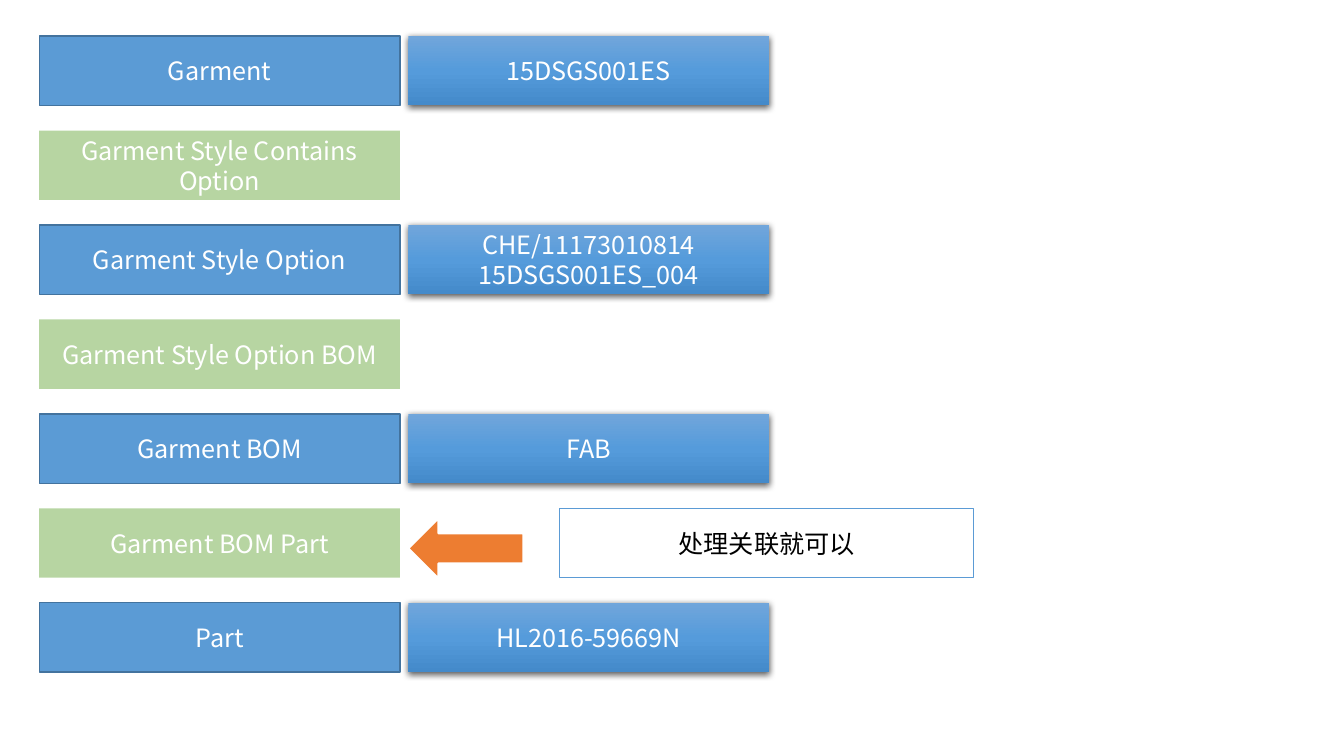
from copy import deepcopy

from lxml.etree import SubElement
from pptx import Presentation
from pptx.dml.color import RGBColor
from pptx.enum.shapes import MSO_SHAPE
from pptx.enum.text import MSO_ANCHOR, PP_ALIGN
from pptx.oxml import parse_xml
from pptx.oxml.ns import nsdecls, qn
from pptx.util import Cm, Pt

COLORS = {
    "white": "FFFFFF", "black": "000000", "blue": "5B9BD5", "edge": "43739E",
    "green": "70AD47", "orange": "ED7D31",
    "light": "71A6DB", "middle": "559BDB", "dark": "448ACA",
}
FONT = "Noto Sans CJK SC"
LABEL_LEFT, VALUE_LEFT = 0.99, 10.29
BOX_WIDTH, BOX_HEIGHT = 9.09, 1.75
FIRST_TOP, ROW_STEP = 0.91, 2.38
ROWS = [
    ("Garment", "entity", "15DSGS001ES"),
    ("Garment Style Contains Option", "relation", None),
    ("Garment Style Option", "entity", "CHE/11173010814\n15DSGS001ES_004"),
    ("Garment Style Option BOM", "relation", None),
    ("Garment BOM", "entity", "FAB"),
    ("Garment BOM Part", "relation", None),
    ("Part", "entity", "HL2016-59669N"),
]
NOTE_ROW = 5


def rgb(name):
    return RGBColor.from_string(COLORS[name])


def row_top(row):
    return FIRST_TOP + row * ROW_STEP


def write_text(frame, text, size=18, color="white", font=FONT, align=PP_ALIGN.CENTER):
    frame.word_wrap = True
    frame.vertical_anchor = MSO_ANCHOR.MIDDLE
    for index, line in enumerate(text.split("\n")):
        para = frame.add_paragraph() if index else frame.paragraphs[0]
        para.alignment = align
        span = para.add_run()
        span.text = line
        span.font.size = Pt(size)
        span.font.color.rgb = rgb(color)
        span.font.name = font
        SubElement(span.font._element, qn("a:ea"), typeface=font)


class DiagramPage:
    """Draws the boxes and the arrow of the garment structure on one page."""

    def __init__(self, deck):
        self.page = deck.slides.add_slide(deck.slide_layouts[6])

    def shape(self, kind, left, top, width, height, fill, line=None, weight=1):
        box = self.page.shapes.add_shape(kind, Cm(left), Cm(top), Cm(width), Cm(height))
        box.shadow.inherit = False
        box.fill.solid()
        box.fill.fore_color.rgb = rgb(fill)
        if line:
            box.line.color.rgb = rgb(line)
            box.line.width = Pt(weight)
        else:
            box.line.fill.background()
        return box

    def box(self, text, left, row, fill, line=None, width=BOX_WIDTH, color="white"):
        box = self.shape(MSO_SHAPE.RECTANGLE, left, row_top(row), width, BOX_HEIGHT, fill, line)
        write_text(box.text_frame, text, color=color)
        return box

    def entity(self, text, row):
        self.box(text, LABEL_LEFT, row, "blue", "edge")

    def relation(self, text, row):
        box = self.box(text, LABEL_LEFT, row, "green")
        color = box._element.spPr.find(qn("a:solidFill"))[0]
        SubElement(color, qn("a:alpha"), val="50000")

    def value(self, text, row):
        box = self.box(text, VALUE_LEFT, row, "middle")
        box.fill.gradient()
        box.fill.gradient_angle = 270
        properties = box._element.spPr
        stops = properties.find(qn("a:gradFill")).find(qn("a:gsLst"))
        stops.insert(1, deepcopy(stops[0]))
        for index, name in enumerate(("light", "middle", "dark")):
            stop = box.fill.gradient_stops[index]
            stop.position = index / 2
            stop.color.rgb = rgb(name)
        properties.find(qn("a:effectLst")).append(parse_xml(
            f'<a:outerShdw {nsdecls("a")} blurRad="{Pt(4.5)}" dist="{Pt(1.5)}" '
            f'dir="5400000" algn="ctr" rotWithShape="0"><a:srgbClr val="{COLORS["black"]}">'
            '<a:alpha val="63000"/></a:srgbClr></a:outerShdw>'))

    def arrow(self, left, top, width, height):
        self.shape(MSO_SHAPE.LEFT_ARROW, left, top, width, height, "orange", "white", 1.5)

    def note(self, text, left, row, width):
        self.box(text, left, row, "white", "blue", width, "black")


def main():
    deck = Presentation()
    deck.slide_width, deck.slide_height = Cm(33.87), Cm(19.05)
    diagram = DiagramPage(deck)
    for row, (label, kind, value) in enumerate(ROWS):
        if kind == "entity":
            diagram.entity(label, row)
        else:
            diagram.relation(label, row)
        if value:
            diagram.value(value, row)
    diagram.arrow(VALUE_LEFT, 13.06, 2.9, 1.52)
    diagram.note("处理关联就可以", 14.1, NOTE_ROW, 10.44)
    deck.save("out.pptx")


if __name__ == "__main__":
    main()
